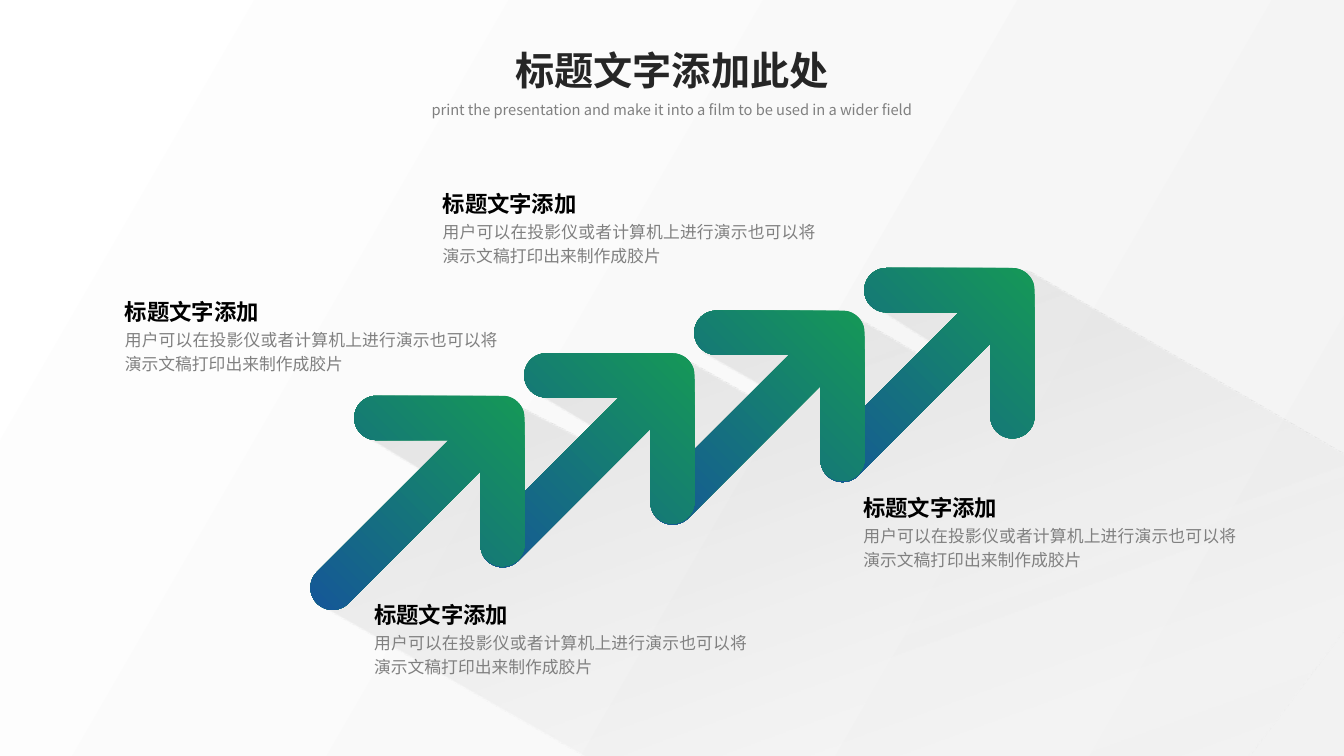
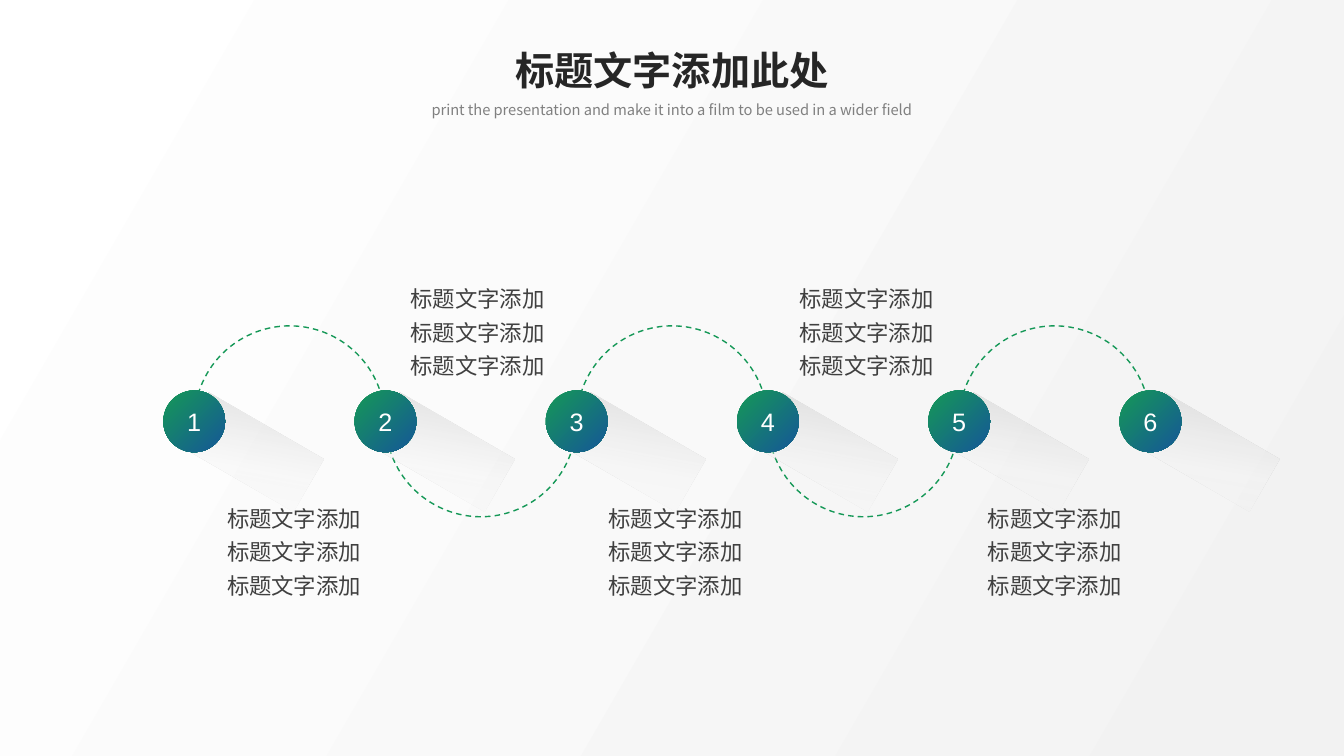
from math import cos, radians, sin, sqrt

from pptx import Presentation
from pptx.dml.color import RGBColor
from pptx.enum.dml import MSO_LINE
from pptx.enum.shapes import MSO_SHAPE as SHAPE
from pptx.enum.text import MSO_ANCHOR as ANCHOR, MSO_AUTO_SIZE as AUTO, PP_ALIGN as ALIGN
from pptx.oxml import parse_xml
from pptx.oxml.ns import nsdecls, qn
from pptx.util import Inches, Pt

WIDTH, HEIGHT = Inches(13.333), Inches(7.5)
COLORS = {
    "white": "FFFFFF", "paper": "F2F2F2", "shade": "BFBFBF", "green": "159857",
    "blue": "155798", "title": "262626", "black": "000000", "gray": "808080",
    "label": "404040",
}
CJK = "Noto Sans CJK SC"

# Formats: run values, with paragraph values under "para"
TITLE = {"size": Pt(28), "bold": True, "color": "title", "para": {"alignment": ALIGN.CENTER}}
SUBTITLE = {"size": Pt(10.5), "color": "gray",
            "para": {"alignment": ALIGN.CENTER, "line_spacing": 1.2}}
JUSTIFIED = {"alignment": ALIGN.JUSTIFY, "line_spacing": 1.2}
HEADING = {"size": Pt(16), "bold": True, "color": "black", "para": JUSTIFIED}
BODY = {"size": Pt(12), "color": "gray", "para": JUSTIFIED}
LABEL = {"size": Pt(16), "color": "label",
         "para": {"alignment": ALIGN.CENTER, "line_spacing": Pt(23.76)}}
NUMBER = {"size": Pt(18), "color": "white", "name": "Arial",
          "para": {"alignment": ALIGN.CENTER}}

# Gradients: angle, then stops of position, colour and opacity in percent
PAPER = (30, [(0, "white", 100), (100, "paper", 100)])
SHADOW = (70, [(0, "shade", 50), (61, "paper", 34), (100, "paper", 0)])
BRAND_STOPS = [(0, "green", 100), (100, "blue", 100)]
ARROW_FILL, DOT_FILL = (135, BRAND_STOPS), (45, BRAND_STOPS)

SHADOW_OUTLINE = [
    (76.35, 20.1), (106.8, 37.8), (79, 74.7), (51.1, 60.55), (23.85, 45),
    (32.5, 35.65), (27.15, 32.4), (30.1, 30.55), (38.05, 29.95), (44.4, 33.25),
    (45.1, 32.35), (39.85, 29.2), (44.7, 28.15), (51.1, 26.8), (55.8, 29.5),
    (58.05, 29.5), (52.3, 26.2), (63.55, 23.55), (68.85, 26.7), (70.15, 26.05),
    (65.05, 22.8),
]
NOTES = [(8.55, 21.4), (32.2, 13.35), (27.1, 43.95), (63.5, 36)]
NOTE_TEXT = "用户可以在投影仪或者计算机上进行演示也可以将演示文稿打印出来制作成胶片"
HEADING_TEXT = "标题文字添加"
LABEL_LEFTS = [14.5, 28.15, 42.9, 57.1, 71.1]
PITCH = 14.23


def u(*shares):
    """Turn hundredths of the slide's width into lengths."""
    return [round(WIDTH * v / 100) for v in shares]


def paint(fill, holder, gradient):
    angle, stops = gradient
    gs = "".join(
        f'<a:gs pos="{pos * 1000}"><a:srgbClr val="{COLORS[color]}">'
        f'<a:alpha val="{opacity * 1000}"/></a:srgbClr></a:gs>'
        for pos, color, opacity in stops)
    fill.background()
    holder.replace(holder.find(qn("a:noFill")), parse_xml(
        f'<a:gradFill {nsdecls("a")} rotWithShape="1"><a:gsLst>{gs}</a:gsLst>'
        f'<a:lin ang="{angle * 60000}" scaled="0"/></a:gradFill>'))


def finish(sp, gradient):
    sp.shadow.inherit = False
    sp.line.fill.background()
    paint(sp.fill, sp.element.spPr, gradient)
    return sp


def write(tf, lines, fmt, **frame):
    for key, value in frame.items():
        setattr(tf, key, value)
    for i, line in enumerate(lines):
        p = tf.paragraphs[0] if i == 0 else tf.add_paragraph()
        for key, value in fmt["para"].items():
            setattr(p, key, value)
        r = p.add_run()
        r.text = line
        r.font.name = fmt.get("name", CJK)
        r.font.size = fmt["size"]
        r.font.bold = fmt.get("bold", False)
        r.font.color.rgb = RGBColor.from_string(COLORS[fmt["color"]])
        r.font.element.append(parse_xml(f'<a:ea {nsdecls("a")} typeface="{CJK}"/>')) \
            if hasattr(r.font, "element") else r._r.get_or_add_rPr().append(
                parse_xml(f'<a:ea {nsdecls("a")} typeface="{CJK}"/>'))


def add_text(slide, box, lines, fmt):
    sp = slide.shapes.add_textbox(*u(*box))
    write(sp.text_frame, lines, fmt, word_wrap=True, auto_size=AUTO.SHAPE_TO_FIT_TEXT)


def add_outline(slide, points, gradient):
    points = [tuple(u(*point)) for point in points]
    builder = slide.shapes.build_freeform(*points[0])
    builder.add_line_segments(points[1:], close=True)
    return finish(builder.convert_to_shape(), gradient)


def add_preset(slide, kind, box, gradient):
    return finish(slide.shapes.add_shape(kind, *u(*box)), gradient)


def add_titled_slide(prs):
    slide = prs.slides.add_slide(prs.slide_layouts[5])
    title = slide.shapes.title
    title.left, title.top, title.width, title.height = u(36.5, 3.1, 27, 4.3)
    write(title.text_frame, ["标题文字添加此处"], TITLE, word_wrap=True,
          auto_size=AUTO.SHAPE_TO_FIT_TEXT, vertical_anchor=ANCHOR.TOP)
    add_text(slide, (30, 6.9, 40, 2.25),
             ["print the presentation and make it into a film to be used in a wider field"],
             SUBTITLE)
    return slide


def arrow_points(left, top, r=1.65, far=14.28, bar=4.9):
    """Outline of a round-ended arrow that points up and to the right."""
    def arc(cx, cy, start, end):
        return [(cx + r * cos(radians(a)), cy + r * sin(radians(a)))
                for a in range(start, end + 1, 9)]

    drop, notch = far + r - bar, r * sqrt(2)
    points = (arc(far, r, -90, 0) + arc(far, drop, 0, 180)
              + [(far - r, 2 * r + notch)] + arc(r, far, 45, 225)
              + [(far - r - notch, 2 * r)] + arc(bar, r, 90, 270))
    return [(left + x, top + y) for x, y in points]


def build_arrows(prs):
    slide = add_titled_slide(prs)
    add_outline(slide, SHADOW_OUTLINE, SHADOW)
    for i in reversed(range(4)):
        add_outline(slide, arrow_points(23.1 + 12.65 * i, 29.45 - 3.17 * i), ARROW_FILL)
    for left, top in NOTES:
        add_text(slide, (left, top + 2.45, 29.25, 4.45), [NOTE_TEXT], BODY)
        add_text(slide, (left, top, 16.8, 3), [HEADING_TEXT], HEADING)


def add_arc(slide, left, flipped):
    sp = slide.shapes.add_shape(SHAPE.ARC, *u(left, 24.25, 14.2, 14.2))
    sp.shadow.inherit = False
    sp.fill.background()
    sp.adjustments[0], sp.adjustments[1] = 117.93, 206.73
    sp.line.color.rgb = RGBColor.from_string(COLORS["green"])
    sp.line.width = Pt(1)
    sp.line.dash_style = MSO_LINE.DASH
    if flipped:
        sp.element.spPr.xfrm.set("flipV", "1")


def build_steps(prs):
    slide = add_titled_slide(prs)
    for i in range(5):
        add_arc(slide, 14.45 + PITCH * i, flipped=i % 2 == 1)
    for i in range(6):
        sp = add_preset(slide, SHAPE.RECTANGLE, (13.75 + PITCH * i, 31.4, 9.85, 4.5), SHADOW)
        sp.rotation = 30
    for i in range(6):
        sp = add_preset(slide, SHAPE.OVAL, (12.15 + PITCH * i, 29.05, 4.6, 4.6), DOT_FILL)
        write(sp.text_frame, [str(i + 1)], NUMBER, word_wrap=False,
              vertical_anchor=ANCHOR.MIDDLE)
    for i, left in enumerate(LABEL_LEFTS):
        top = 20.4 if i % 2 else 36.75
        add_text(slide, (left, top, 14.75, 8), [HEADING_TEXT] * 3, LABEL)


def main():
    prs = Presentation()
    prs.slide_width, prs.slide_height = WIDTH, HEIGHT
    master = prs.slide_master
    fill = master.background.fill
    paint(fill, master.element.find(".//" + qn("p:bgPr")), PAPER)
    build_arrows(prs)
    build_steps(prs)
    prs.save("out.pptx")


if __name__ == "__main__":
    main()
